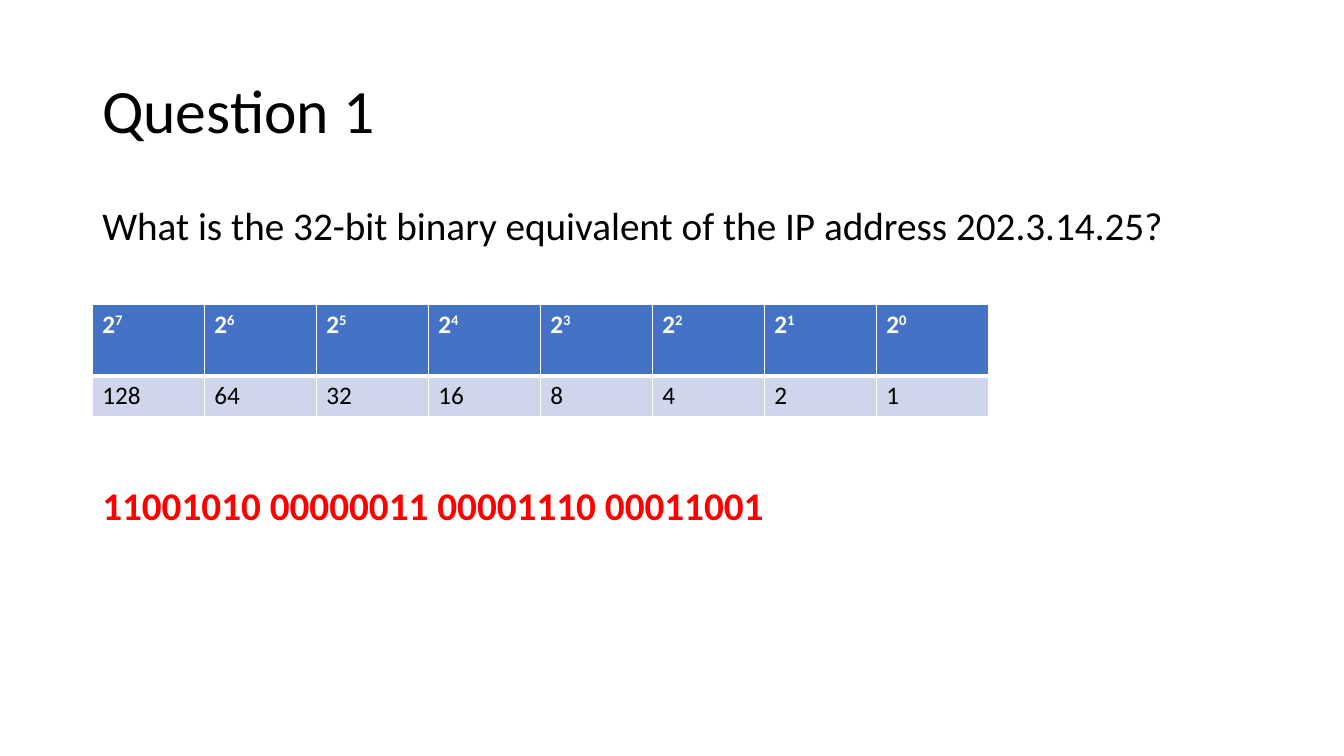
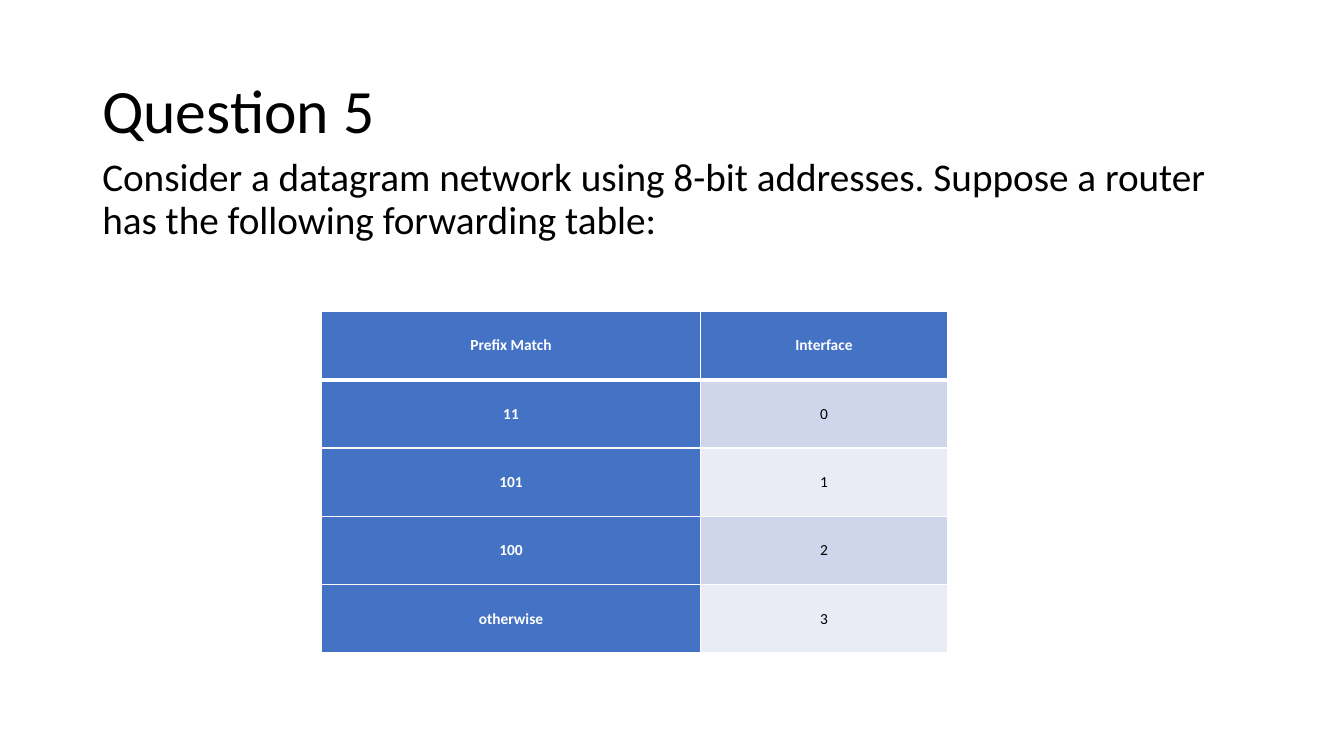
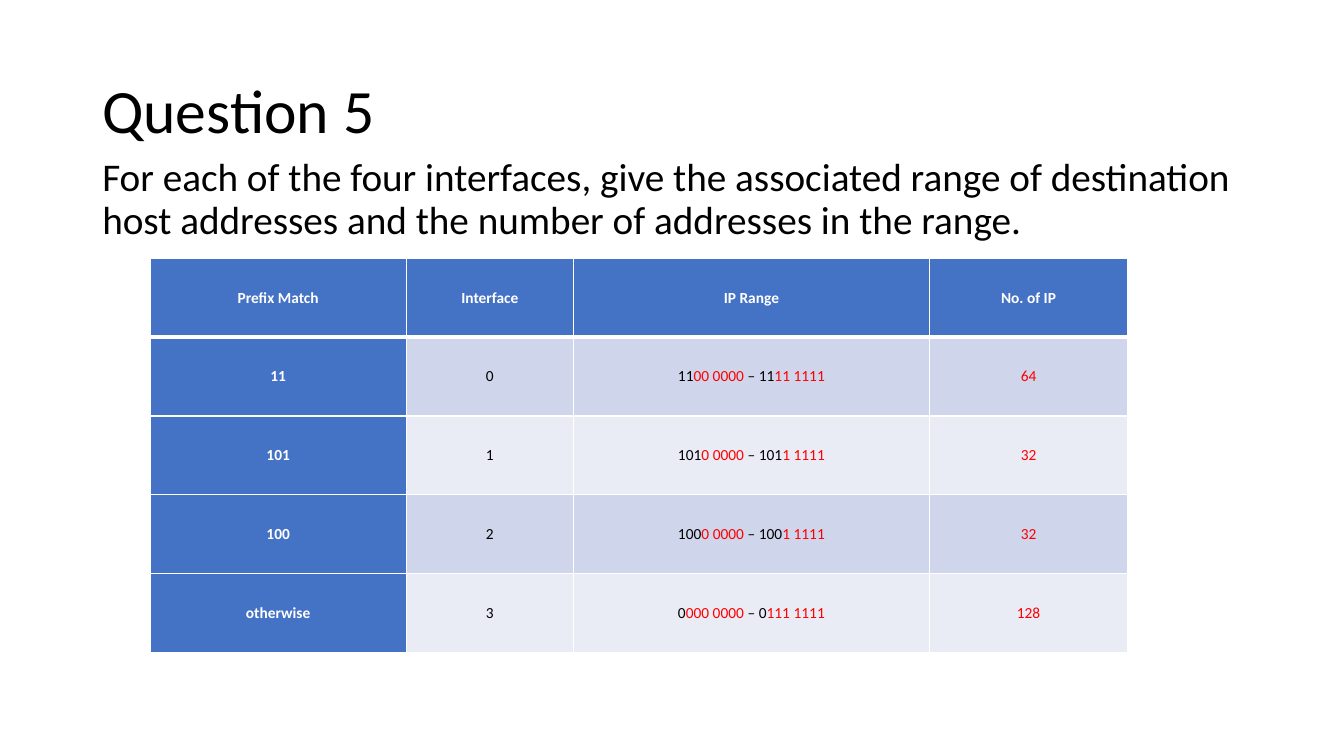
from lxml import etree
from pptx import Presentation
from pptx.dml.color import RGBColor
from pptx.enum import text
from pptx.oxml import ns
from pptx.util import Pt

FONT = "Calibri"
HUES = {
    "ink": "000000",
    "paper": "FFFFFF",
    "head": "4472C4",
    "odd": "CFD5EA",
    "even": "E9EBF5",
    "answer": "FF0000",
}
LEFT, WIDTH = 66, 828
MIDDLE = text.MSO_ANCHOR.MIDDLE


def color(name):
    return RGBColor.from_string(HUES[name])


def style(run, size, hue="ink", bold=False):
    font = run.font
    font.name, font.size, font.bold = FONT, Pt(size), bold
    font.color.rgb = color(hue)


def add_text(slide, top, height, size, lines, anchor=text.MSO_ANCHOR.TOP):
    box = slide.shapes.add_textbox(Pt(LEFT), Pt(top), Pt(WIDTH), Pt(height))
    frame = box.text_frame
    frame.word_wrap = True
    frame.vertical_anchor = anchor
    frame.text = "\n".join(line[0] for line in lines)
    for para, (_, gap, hue, bold) in zip(frame.paragraphs, lines):
        para.line_spacing = 0.9
        para.space_before = Pt(gap)
        style(para.runs[0], size, hue, bold)


def add_page(deck, title, top, *lines):
    slide = deck.slides.add_slide(deck.slide_layouts[6])
    add_text(slide, 28.75, 104.4, 44, [(title, 0, "ink", False)], MIDDLE)
    add_text(slide, top, 342.7, 28, lines)
    return slide


def add_edges(cell, row):
    props = cell._tc.get_or_add_tcPr()
    widths = {"L": 1, "R": 1, "T": 3 if row == 1 else 1, "B": 1 if row else 3}
    for side, width in widths.items():
        line = etree.SubElement(props, ns.qn("a:ln" + side), w=str(Pt(width)))
        fill = etree.SubElement(line, ns.qn("a:solidFill"))
        etree.SubElement(fill, ns.qn("a:srgbClr"), val=HUES["paper"])


def fill_cell(cell, value, size, head, band):
    cell.fill.solid()
    cell.fill.fore_color.rgb = color("head" if head else band)
    para = cell.text_frame.paragraphs[0]
    for spot, part in enumerate(value.split("|")):
        if not part:
            continue
        run = para.add_run()
        run.text = part
        marked = spot % 2 == 1
        hue = "paper" if head else "answer" if marked else "ink"
        style(run, size, hue, head)
        if head and marked:
            run._r.get_or_add_rPr().set("baseline", "30000")


def add_grid(slide, left, top, cols, rows, data, size=11, side=True):
    frame = slide.shapes.add_table(
        len(rows), len(cols), Pt(left), Pt(top), Pt(sum(cols)), Pt(sum(rows)))
    table = frame.table
    table.horz_banding = False
    table.first_col = side
    for col, width in zip(table.columns, cols):
        col.width = Pt(width)
    for row, height in zip(table.rows, rows):
        row.height = Pt(height)
    for r, values in enumerate(data):
        for c, value in enumerate(values):
            cell = table.cell(r, c)
            add_edges(cell, r)
            head = r == 0 or (side and c == 0)
            fill_cell(cell, value, size, head, "odd" if r % 2 else "even")
            if side:
                cell.vertical_anchor = MIDDLE
                cell.margin_left = cell.margin_right = Pt(5)
                cell.margin_top = cell.margin_bottom = 0
                para = cell.text_frame.paragraphs[0]
                para.alignment = text.PP_ALIGN.CENTER


def main():
    deck = Presentation()
    deck.slide_width, deck.slide_height = Pt(960), Pt(540)

    slide = add_page(
        deck, "Question 1", 144,
        ("What is the 32-bit binary equivalent of the IP address 202.3.14.25?",
         10, "ink", False),
        ("11001010 00000011 00001110 00011001", 170, "answer", True))
    powers = range(7, -1, -1)
    bits = [[f"2|{n}" for n in powers], [str(2 ** n) for n in powers]]
    add_grid(slide, LEFT, 217.4, [80] * 8, [51, 29.2], bits, 18, False)

    routes = [
        ["Prefix Match", "Interface"],
        ["11", "0"],
        ["101", "1"],
        ["100", "2"],
        ["otherwise", "3"],
    ]
    slide = add_page(
        deck, "Question 5", 109.4,
        ("Consider a datagram network using 8-bit addresses. Suppose a router "
         "has the following forwarding table:", 10, "ink", False))
    add_grid(slide, 229.7, 222.5, [270.7, 176.4], [48.8] * 5, routes)

    spans = [
        ["IP Range", "No. of IP"],
        ["11|00 0000 |– 11|11 1111", "|64"],
        ["101|0 0000 |– 101|1 1111", "|32"],
        ["100|0 0000| – 100|1 1111", "|32"],
        ["0|000 0000| – 0|111 1111", "|128"],
    ]
    slide = add_page(
        deck, "Question 5", 109.4,
        ("For each of the four interfaces, give the associated range of "
         "destination host addresses and the number of addresses in the "
         "range.", 10, "ink", False))
    full = [route + span for route, span in zip(routes, spans)]
    add_grid(slide, 107.3, 184.5, [182.9, 119.5, 254.2, 141.8],
             [56.3] * 5, full)

    deck.save("out.pptx")


main()
